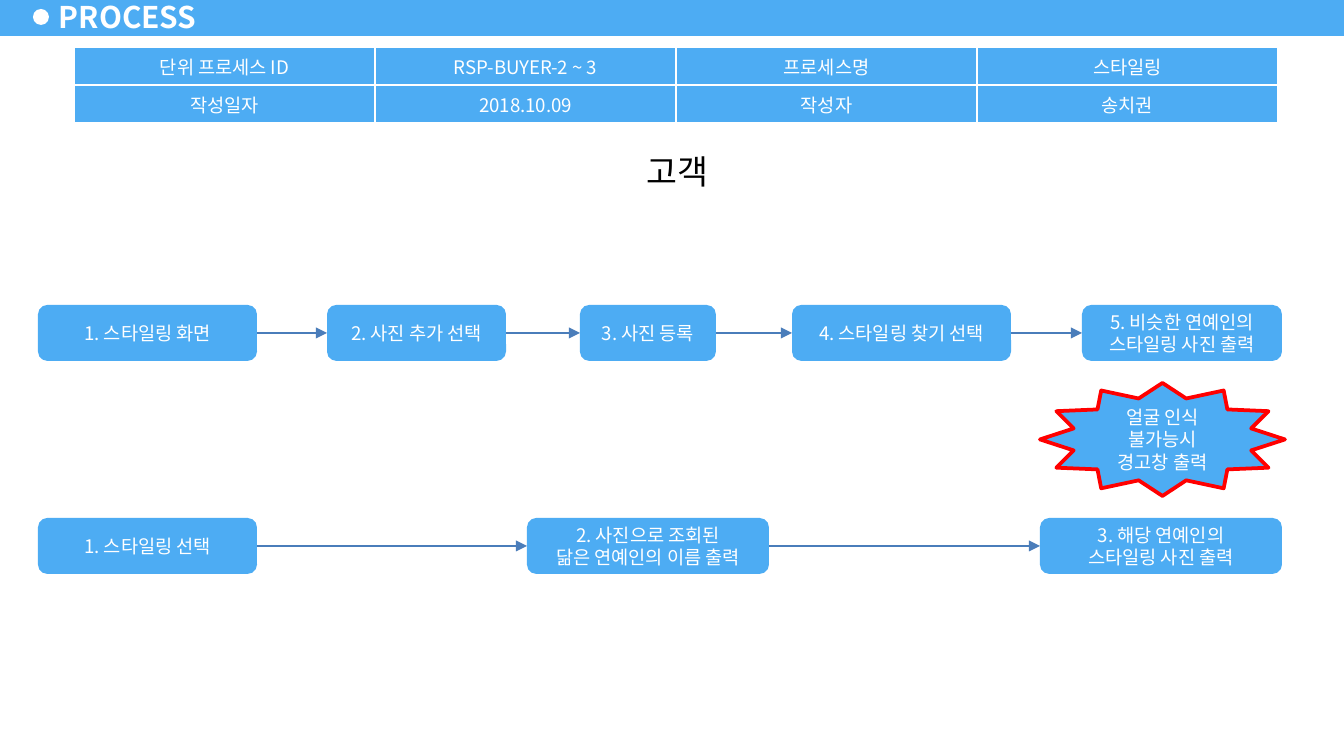
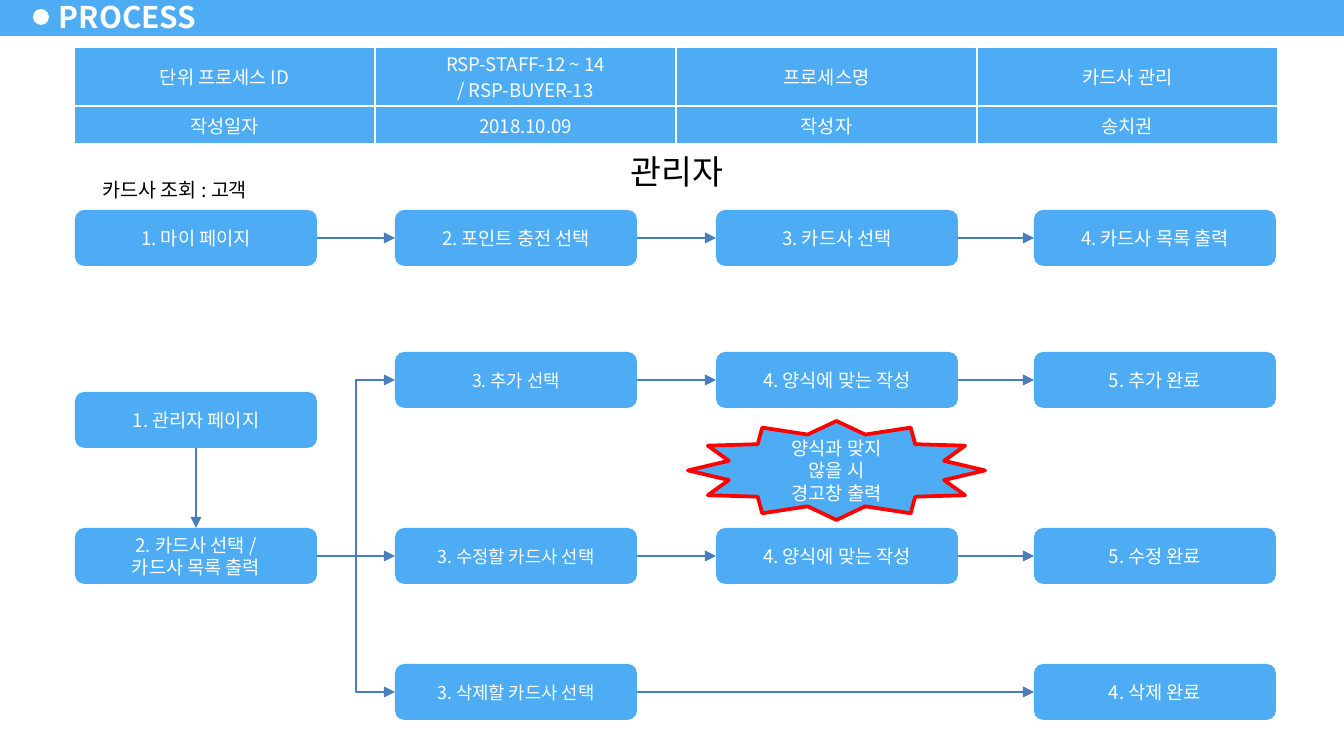
from lxml import etree
from pptx import Presentation
from pptx.dml.color import RGBColor
from pptx.enum.shapes import MSO_CONNECTOR, MSO_SHAPE
from pptx.enum.text import MSO_ANCHOR, MSO_AUTO_SIZE, PP_ALIGN
from pptx.oxml.ns import qn
from pptx.util import Pt

EMU_PER_PX = 914400 / 134.4
FONT = "Noto Sans CJK KR"
BLUE = RGBColor(0x4D, 0xAC, 0xF3)
LINE_BLUE = RGBColor(0x4A, 0x7D, 0xBA)
RED = RGBColor(0xFF, 0x00, 0x00)
WHITE = RGBColor(0xFF, 0xFF, 0xFF)
BLACK = RGBColor(0x00, 0x00, 0x00)

RECTANGLE = MSO_SHAPE.RECTANGLE
ROUNDED = MSO_SHAPE.ROUNDED_RECTANGLE
OVAL = MSO_SHAPE.OVAL
STAR = MSO_SHAPE.STAR_12_POINT
STRAIGHT = MSO_CONNECTOR.STRAIGHT
ELBOW = MSO_CONNECTOR.ELBOW
CENTER = PP_ALIGN.CENTER
LEFT = PP_ALIGN.LEFT
MIDDLE = MSO_ANCHOR.MIDDLE
TOP = MSO_ANCHOR.TOP
TOP_SIDE, LEFT_SIDE, BOTTOM_SIDE, RIGHT_SIDE = range(4)

STEP_HEIGHT = 56
STEP_WIDTH = 242
COLUMNS = (75, 395, 716, 1034)
STEP_SPACING = Pt(12)


def px(length):
    return round(length * EMU_PER_PX)


def place(shape, left, top, width, height):
    shape.left, shape.top = px(left), px(top)
    shape.width, shape.height = px(width), px(height)


def write(frame, lines, size, color, align=CENTER, bold=False, spacing=None):
    """Write one paragraph per line, with the font set for Korean text too."""
    for index, line in enumerate(lines):
        para = frame.add_paragraph() if index else frame.paragraphs[0]
        para.alignment = align
        para.line_spacing = spacing
        span = para.add_run()
        span.text = line
        span.font.name = FONT
        span.font.size = Pt(size)
        span.font.bold = bold
        span.font.color.rgb = color
        etree.SubElement(span.font._element, qn("a:ea"), typeface=FONT)


def add_block(page, kind, bounds, fill, border=None):
    block = page.shapes.add_shape(kind, *map(px, bounds))
    block.shadow.inherit = False
    block.fill.solid()
    block.fill.fore_color.rgb = fill
    if border is None:
        block.line.fill.background()
    else:
        block.line.color.rgb = border
        block.line.width = Pt(2)
    return block


def add_step(page, left, top, *lines, width=STEP_WIDTH, size=10):
    box = add_block(page, ROUNDED, (left, top, width, STEP_HEIGHT), BLUE)
    box.text_frame.vertical_anchor = MIDDLE
    write(box.text_frame, lines, size, WHITE, spacing=STEP_SPACING)
    return box


def add_warning(page, bounds, *lines):
    star = add_block(page, STAR, bounds, BLUE, RED)
    star.text_frame.vertical_anchor = MIDDLE
    write(star.text_frame, lines, 10, WHITE, spacing=STEP_SPACING)


def add_label(page, bounds, text, size):
    label = add_block(page, RECTANGLE, bounds, WHITE)
    label.text_frame.vertical_anchor = TOP
    write(label.text_frame, [text], size, BLACK)


def add_arrow(page, start, end, kind=STRAIGHT, sides=(RIGHT_SIDE, LEFT_SIDE)):
    arrow = page.shapes.add_connector(kind, 0, 0, 0, 0)
    arrow.begin_connect(start, sides[0])
    arrow.end_connect(end, sides[1])
    arrow.line.color.rgb = LINE_BLUE
    arrow.line.width = Pt(0.75)
    etree.SubElement(arrow.line._get_or_add_ln(), qn("a:tailEnd"), type="triangle")
    etree.SubElement(arrow.element.spPr, qn("a:effectLst"))


def link(page, steps):
    for start, end in zip(steps, steps[1:]):
        add_arrow(page, start, end)


def add_cell_borders(cell):
    properties = cell._tc.get_or_add_tcPr()
    for side in ("lnL", "lnR", "lnT", "lnB"):
        border = etree.SubElement(properties, qn(f"a:{side}"), w=str(Pt(1)))
        fill = etree.SubElement(border, qn("a:solidFill"))
        etree.SubElement(fill, qn("a:srgbClr"), val=str(WHITE))


def add_info_table(page, process_id, process_name, heights):
    rows = (
        (["단위 프로세스 ID"], process_id, ["프로세스명"], [process_name]),
        (["작성일자"], ["2018.10.09"], ["작성자"], ["송치권"]),
    )
    bounds = (74, 47, 1204, sum(heights))
    table = page.shapes.add_table(2, 4, *map(px, bounds)).table
    for column in table.columns:
        column.width = px(301)
    for row, (height, texts) in enumerate(zip(heights, rows)):
        table.rows[row].height = px(height)
        for column, lines in enumerate(texts):
            cell = table.cell(row, column)
            add_cell_borders(cell)
            cell.fill.solid()
            cell.fill.fore_color.rgb = BLUE
            cell.vertical_anchor = MIDDLE
            cell.margin_top = cell.margin_bottom = px(2)
            write(cell.text_frame, lines, 10, WHITE)


def add_layout_band(layout, page):
    """Draw the top band on a page, then move it behind the layout's content."""
    band = add_block(page, RECTANGLE, (0, -2, 1344, 38), BLUE)
    dot = add_block(page, OVAL, (33, 9, 16, 16), WHITE)
    for position, shape in enumerate((band, dot), start=2):
        layout.shapes.element.insert(position, shape.element)


def add_page(deck, layout, heading):
    page = deck.slides.add_slide(layout)
    title = page.shapes.title
    place(title, 47, -5, 164, 43)
    frame = title.text_frame
    frame.auto_size = MSO_AUTO_SIZE.NONE
    frame.word_wrap = False
    frame.vertical_anchor = MIDDLE
    frame.margin_left = frame.margin_right = px(12)
    frame.margin_top = frame.margin_bottom = px(6)
    write(frame, ["PROCESS"], 16, WHITE, LEFT, bold=True)
    add_label(page, (437, 144, 480, 55), heading, 18)
    return page


def fill_styling_page(page):
    add_info_table(page, ["RSP-BUYER-2 ~ 3"], "스타일링", (38, 38))
    search = [
        add_step(page, left, 305, *lines, width=width)
        for left, width, lines in (
            (38, 219, ["1. 스타일링 화면"]),
            (327, 179, ["2. 사진 추가 선택"]),
            (580, 136, ["3. 사진 등록"]),
            (792, 219, ["4. 스타일링 찾기 선택"]),
            (1082, 200, ["5. 비슷한 연예인의", "스타일링 사진 출력"]),
        )
    ]
    choice = [
        add_step(page, 38, 518, "1. 스타일링 선택", width=219),
        add_step(page, 527, 518, "2. 사진으로 조회된", "닮은 연예인의 이름 출력"),
        add_step(page, 1040, 518, "3. 해당 연예인의", "스타일링 사진 출력"),
    ]
    add_warning(page, (1040, 383, 245, 113), "얼굴 인식", "불가능시", "경고창 출력")
    link(page, search)
    link(page, choice)


def fill_card_page(page):
    add_info_table(
        page, ["RSP-STAFF-12 ~ 14", "/ RSP-BUYER-13"], "카드사 관리", (59, 38)
    )
    lookup_texts = (
        "1. 마이 페이지", "2. 포인트 충전 선택", "3. 카드사 선택", "4. 카드사 목록 출력"
    )
    lookup = [add_step(page, left, 210, text) for left, text in zip(COLUMNS, lookup_texts)]
    link(page, lookup)

    admin = add_step(page, COLUMNS[0], 392, "1. 관리자 페이지")
    card_list = add_step(page, COLUMNS[0], 528, "2. 카드사 선택 /", "카드사 목록 출력")
    add_arrow(page, admin, card_list, sides=(BOTTOM_SIDE, TOP_SIDE))

    branches = (
        (352, ELBOW, "3. 추가 선택", "4. 양식에 맞는 작성", "5. 추가 완료"),
        (528, STRAIGHT, "3. 수정할 카드사 선택", "4. 양식에 맞는 작성", "5. 수정 완료"),
        (664, ELBOW, "3. 삭제할 카드사 선택", None, "4. 삭제 완료"),
    )
    for top, kind, choice, form, result in branches:
        steps = [add_step(page, COLUMNS[1], top, choice, size=9.5)]
        if form:
            steps.append(add_step(page, COLUMNS[2], top, form))
        steps.append(add_step(page, COLUMNS[3], top, result))
        add_arrow(page, card_list, steps[0], kind)
        link(page, steps)

    add_warning(page, (688, 421, 297, 99), "양식과 맞지", "않을 시", "경고창 출력")
    add_label(page, (77, 171, 196, 38), "카드사 조회 : 고객", 10.5)


def main():
    deck = Presentation()
    deck.slide_width, deck.slide_height = px(1344), px(756)
    layout = deck.slide_layouts[5]
    styling_page = add_page(deck, layout, "고객")
    add_layout_band(layout, styling_page)
    fill_styling_page(styling_page)
    fill_card_page(add_page(deck, layout, "관리자"))
    deck.save("out.pptx")


if __name__ == "__main__":
    main()
